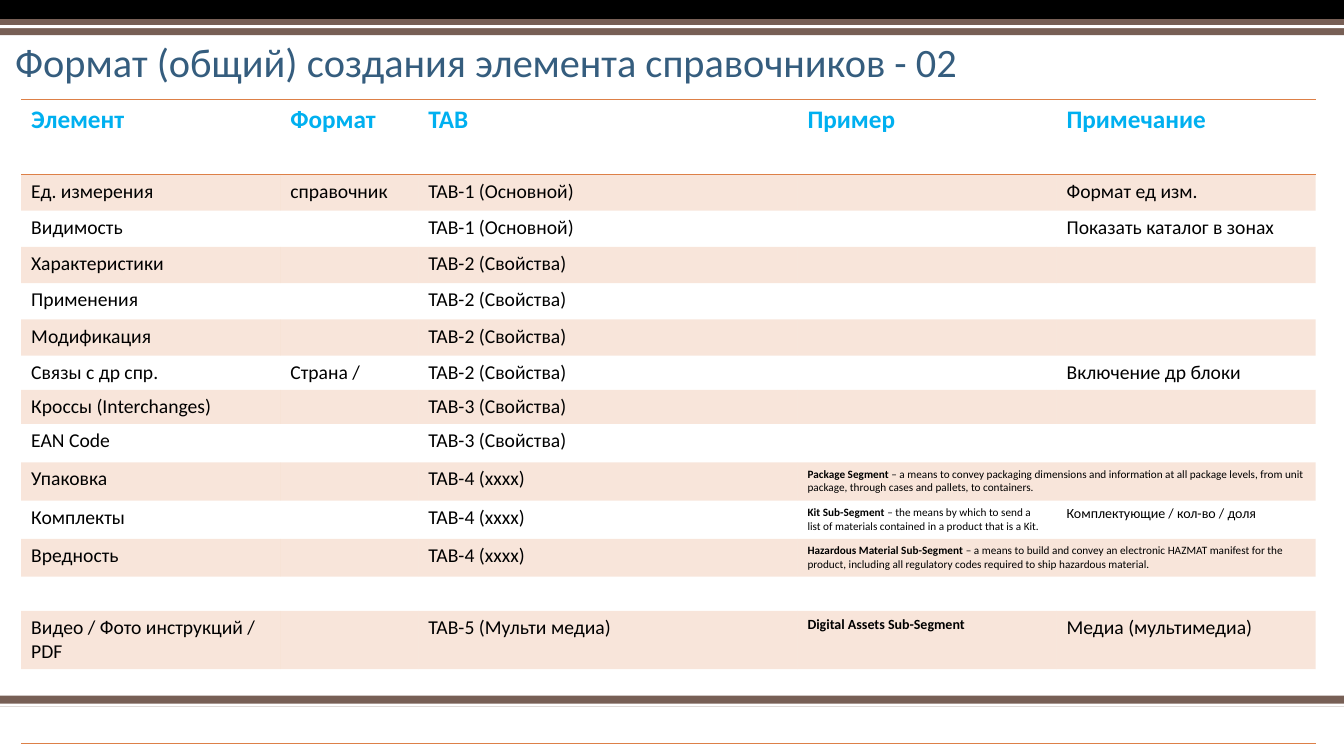
from lxml import etree
from pptx import Presentation
from pptx.dml.color import RGBColor
from pptx.enum import shapes, text
from pptx.oxml.ns import qn
from pptx.util import Inches, Pt

FONT = "Calibri"
ORANGE = "DD8047"
BROWN = "775F55"
NO_STYLE = "{2D5ABB26-0587-4C30-8999-92F81FD0307C}"

BARS = [
    (6.9, 0.11, BROWN),
    (6.98, 0.03, "FFFFFF"),
    (0, 0.19, "000000"),
    (0.19, 0.16, BROWN),
    (0.25, 0.03, "FFFFFF"),
]
COLUMNS = [2.57, 1.37, 3.76, 2.57, 2.57]
HEIGHTS = [0.74] + [0.36] * 5 + [0.34, 0.33, 0.38, 0.38, 0.38, 0.37, 0.34, 0.58, 0.74]
HEADER = ["Элемент", "Формат", "TAB", "Пример", "Примечание"]
ELEMENTS = [
    ("Ед. измерения", "справочник", "TAB-1 (Основной)", "", "Формат ед изм."),
    ("Видимость", "", "TAB-1 (Основной)", "", "Показать каталог в зонах"),
    ("Характеристики", "", "TAB-2 (Свойства)", "", ""),
    ("Применения", "", "TAB-2 (Свойства)", "", ""),
    ("Модификация", "", "TAB-2 (Свойства)", "", ""),
    ("Связы с др спр.", "Страна /", "TAB-2 (Свойства)", "", "Включение др блоки"),
    ("Кроссы (Interchanges)", "", "TAB-3 (Свойства)", "", ""),
    ("EAN Code", "", "TAB-3 (Свойства)", "", ""),
    ("Упаковка", "", "TAB-4 (xxxx)", "", ""),
    ("Комплекты", "", "TAB-4 (xxxx)", "", ""),
    ("Вредность", "", "TAB-4 (xxxx)", "", ""),
    ("", "", "", "", ""),
    ("Видео / Фото инструкций / PDF", "", "TAB-5 (Мульти медиа)", "", "Медиа (мультимедиа)"),
    ("", "", "", "", ""),
]
SEGMENTS = {
    9: ("Package Segment ", "– a means to convey packaging dimensions and information at all "
        "package levels, from unit package, through cases and pallets, to containers."),
    10: ("Kit Sub-Segment ", "– the means by which to send a list of materials contained "
         "in a product that is a Kit."),
    11: ("Hazardous Material Sub-Segment ", "– a means to build and convey an electronic HAZMAT "
         "manifest for the product, including all regulatory codes required to ship "
         "hazardous material."),
}
WIDE_ROWS = (9, 11)


def rgb(value):
    return RGBColor.from_string(value)


def set_font(font, size, color="000000", bold=False):
    font.name = FONT
    font.size = Pt(size)
    font.color.rgb = rgb(color)
    font.bold = bold


def add_bar(s, top, height, color):
    sp = s.shapes.add_shape(shapes.MSO_SHAPE.RECTANGLE, 0, Inches(top),
                            Inches(13.33), Inches(height))
    sp.shadow.inherit = False
    sp.fill.solid()
    sp.fill.fore_color.rgb = rgb(color)
    sp.line.fill.background()


def set_title(s, wording):
    sp = s.shapes.title
    sp.left, sp.top = Inches(0.05), Inches(0.36)
    sp.width, sp.height = Inches(11.61), Inches(0.55)
    tf = sp.text_frame
    tf.text = wording
    tf.auto_size = text.MSO_AUTO_SIZE.NONE
    tf.vertical_anchor = text.MSO_ANCHOR.BOTTOM
    p = tf.paragraphs[0]
    p.alignment = text.PP_ALIGN.LEFT
    p.line_spacing = 0.9
    set_font(p.font, 28.8, "355D7E")


def write_cell(cell, wording, size=14, color="000000", bold=False):
    p = cell.text_frame.paragraphs[0]
    if wording:
        p.text = wording
        set_font(p.font, size, color, bold)
    else:
        etree.SubElement(p._p, qn("a:endParaRPr"), sz="1000")


def write_segment(cell, name, meaning):
    p = cell.text_frame.paragraphs[0]
    for wording, bold in ((name, True), (meaning, False)):
        r = p.add_run()
        r.text = wording
        set_font(r.font, 8, bold=bold)


def add_border(cell, side):
    ln = etree.SubElement(cell._tc.get_or_add_tcPr(), qn("a:" + side), w=str(Pt(1)))
    fill = etree.SubElement(ln, qn("a:solidFill"))
    etree.SubElement(fill, qn("a:srgbClr"), val=ORANGE)


def fill_cell(cell, banded):
    if not banded:
        cell.fill.background()
        return
    cell.fill.solid()
    cell.fill.fore_color.rgb = rgb(ORANGE)
    color = cell._tc.tcPr.find(qn("a:solidFill")).find(qn("a:srgbClr"))
    etree.SubElement(color, qn("a:alpha"), val="20000")


def add_elements_table(s):
    last = len(ELEMENTS)
    frame = s.shapes.add_table(last + 1, len(COLUMNS), Inches(0.21), Inches(0.99),
                               Inches(sum(COLUMNS)), Inches(sum(HEIGHTS)))
    table = frame.table
    table.first_row = table.horz_banding = False
    table._tbl.tblPr.find(qn("a:tableStyleId")).text = NO_STYLE
    for column, width in zip(table.columns, COLUMNS):
        column.width = Inches(width)
    for row, height in zip(table.rows, HEIGHTS):
        row.height = Inches(height)
    for i in WIDE_ROWS:
        table.cell(i, 3).merge(table.cell(i, 4))

    for j, heading in enumerate(HEADER):
        cell = table.cell(0, j)
        write_cell(cell, heading, 18, "00B0F0", True)
        add_border(cell, "lnT")
        add_border(cell, "lnB")
        fill_cell(cell, False)
        add_border(table.cell(last, j), "lnB")

    for i, element in enumerate(ELEMENTS, 1):
        for j, wording in enumerate(element):
            cell = table.cell(i, j)
            if j == 3 and i in SEGMENTS:
                write_segment(cell, *SEGMENTS[i])
            elif (i, j) == (10, 4):
                write_cell(cell, "Комплектующие / кол-во / доля", 10)
            elif (i, j) == (13, 3):
                write_cell(cell, "Digital Assets Sub-Segment", 10, bold=True)
            else:
                write_cell(cell, wording)
            fill_cell(cell, i % 2 == 1)


def main():
    prs = Presentation()
    prs.slide_width, prs.slide_height = Inches(13.33), Inches(7.5)
    s = prs.slides.add_slide(prs.slide_layouts[5])
    for bar in BARS:
        add_bar(s, *bar)
    set_title(s, "Формат (общий) создания элемента справочников - 02")
    add_elements_table(s)
    prs.save("out.pptx")


main()
